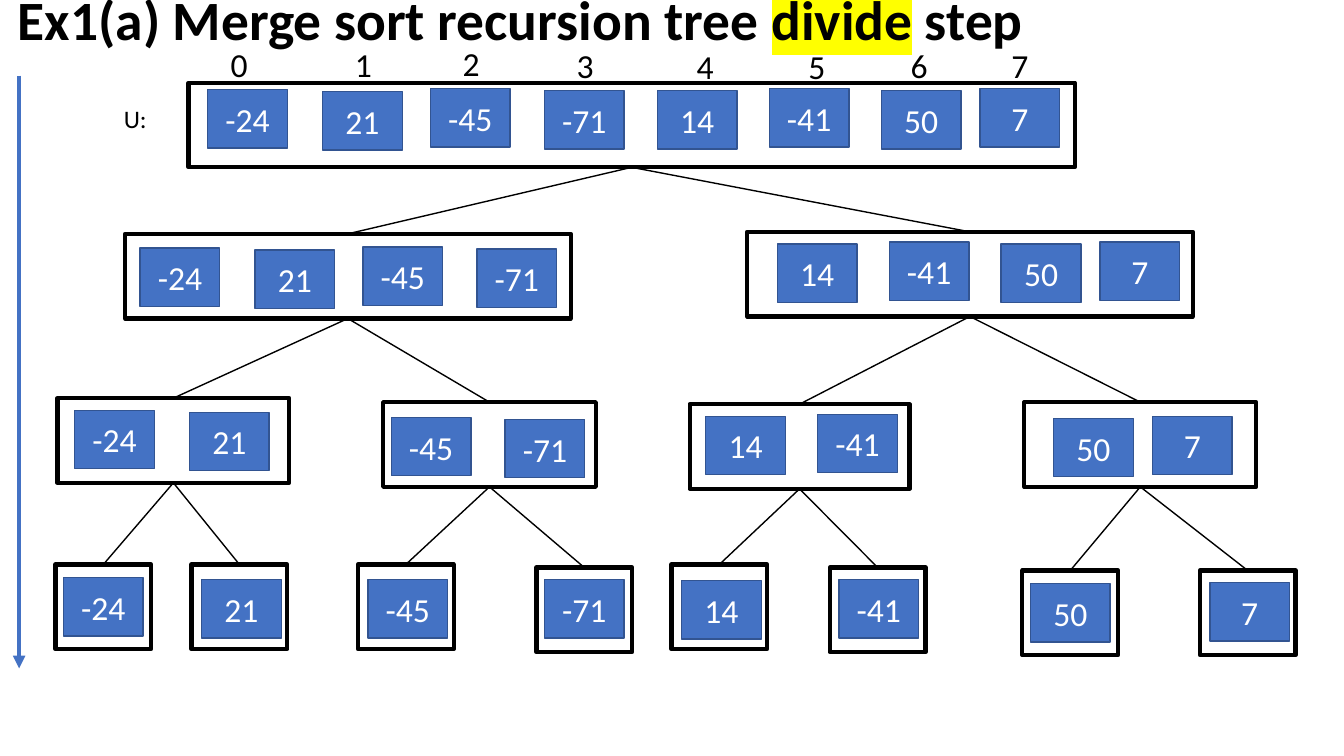
"""Build a slide showing the divide step of a merge sort recursion tree."""
from lxml.etree import SubElement
from pptx import Presentation
from pptx.dml.color import RGBColor
from pptx.enum.shapes import MSO_CONNECTOR as Connector, MSO_SHAPE as Shape
from pptx.enum.text import MSO_ANCHOR as Anchor, PP_ALIGN as Align
from pptx.oxml.ns import qn
from pptx.util import Inches, Pt

BLACK = RGBColor(0x00, 0x00, 0x00)
WHITE = RGBColor(0xFF, 0xFF, 0xFF)
BLUE = RGBColor(0x44, 0x72, 0xC4)
DARK_BLUE = RGBColor(0x32, 0x54, 0x91)
HIGHLIGHT = "FFFF00"

TITLE = [("Ex1(a) Merge sort recursion tree ", False), ("divide", True), (" step", False)]
TITLE_BOX = (0.08, -0.02, 10.43, 0.48)
ARRAY_BOX = (1.13, 0.98, 0.64, 0.4)
VALUES = [-24, 21, -45, -71, 14, -41, 50, 7]
CELL_POSITIONS = [(2.06, 0.89), (3.2, 0.91), (4.27, 0.88), (5.4, 0.9),
                  (6.52, 0.9), (7.63, 0.88), (8.74, 0.9), (9.72, 0.88)]
CELL_SIZE = (0.79, 0.58)
INDEX_BOXES = [(2.19, 0.39, 0.21), (3.42, 0.39, 0.21), (4.49, 0.38, 0.21), (5.62, 0.4, 0.21),
               (6.81, 0.41, 0.21), (7.92, 0.41, 0.28), (8.94, 0.4, 0.19), (9.94, 0.4, 0.19)]
INDEX_HEIGHT = 0.5
FRAME_HEIGHT = 0.84
# Each frame: left, top, width, then the shift of its cells from the root row.
LEVELS = [
    [(1.87, 0.82, 8.79, 0, 0)],
    [(1.24, 2.32, 4.42, -0.67, 1.57), (7.41, 2.3, 4.42, 1.19, 1.52)],
    [(0.57, 3.95, 2.3, -1.32, 3.18), (3.8, 3.99, 2.11, -0.39, 3.26),
     (6.84, 4.01, 2.18, 0.48, 3.23), (10.16, 3.99, 2.3, 1.71, 3.25)],
    [(0.55, 5.6, 0.95, -1.43, 4.84), (1.9, 5.6, 0.95, -1.2, 4.84),
     (3.55, 5.6, 0.95, -0.62, 4.87), (5.32, 5.63, 0.95, 0, 4.85),
     (6.66, 5.6, 0.95, 0.24, 4.86), (8.23, 5.63, 0.95, 0.69, 4.87),
     (10.14, 5.66, 0.95, 1.48, 4.89), (11.9, 5.66, 0.95, 2.28, 4.9)],
]
ARROW = (0.19, 0.75, 0.19, 6.63)
BOTTOM, TOP = 2, 0

CELL_FONT = {"name": "Calibri", "size": Pt(24)}
ARRAY_FONT = {"name": "Calibri", "size": Pt(18)}
TITLE_FONT = {"name": "Calibri", "size": Pt(39.6), "bold": True}


def inches(numbers):
    return [Inches(number) for number in numbers]


def add_run(paragraph, text, font_format, color):
    run = paragraph.add_run()
    run.text = text
    for name, value in font_format.items():
        setattr(run.font, name, value)
    run.font.color.rgb = color
    return run


def add_text(slide, box, text, font_format):
    frame = slide.shapes.add_textbox(*inches(box)).text_frame
    frame.word_wrap = True
    if text:
        add_run(frame.paragraphs[0], text, font_format, BLACK)
    return frame


def add_title(slide):
    frame = add_text(slide, TITLE_BOX, "", TITLE_FONT)
    frame.vertical_anchor = Anchor.MIDDLE
    paragraph = frame.paragraphs[0]
    paragraph.line_spacing = 0.9
    for text, marked in TITLE:
        run = add_run(paragraph, text, TITLE_FONT, BLACK)
        if marked:
            properties = run.font._element if hasattr(run.font, "_element") else run._r.get_or_add_rPr()
            highlight = SubElement(properties, qn("a:highlight"))
            SubElement(highlight, qn("a:srgbClr"), val=HIGHLIGHT)
            properties.find(qn("a:latin")).addprevious(highlight)


def add_rectangle(slide, box, line_color, line_width):
    shape = slide.shapes.add_shape(Shape.RECTANGLE, *inches(box))
    shape.shadow.inherit = False
    shape.fill.background()
    shape.line.color.rgb = line_color
    shape.line.width = Pt(line_width)
    return shape


def add_cell(slide, left, top, value):
    shape = add_rectangle(slide, (left, top, *CELL_SIZE), DARK_BLUE, 1)
    shape.fill.solid()
    shape.fill.fore_color.rgb = BLUE
    shape.text_frame.vertical_anchor = Anchor.MIDDLE
    paragraph = shape.text_frame.paragraphs[0]
    paragraph.alignment = Align.CENTER
    add_run(paragraph, str(value), CELL_FONT, WHITE)


def add_line(slide, ends, color, width):
    line = slide.shapes.add_connector(Connector.STRAIGHT, *inches(ends))
    line.line.color.rgb = color
    line.line.width = Pt(width)
    SubElement(line._element.spPr, qn("a:effectLst"))
    return line


def add_tree(slide):
    parents = []
    for level in LEVELS:
        frames = []
        count = len(VALUES) // len(level)
        for position, (left, top, width, shift_x, shift_y) in enumerate(level):
            frame = add_rectangle(slide, (left, top, width, FRAME_HEIGHT), BLACK, 3)
            frames.append(frame)
            for item in range(position * count, (position + 1) * count):
                x, y = CELL_POSITIONS[item]
                add_cell(slide, x + shift_x, y + shift_y, VALUES[item])
            if parents:
                branch = add_line(slide, (0, 0, 0, 0), BLACK, 1)
                branch.begin_connect(parents[position // 2], BOTTOM)
                branch.end_connect(frame, TOP)
        parents = frames


def main():
    presentation = Presentation()
    presentation.slide_width, presentation.slide_height = Inches(13.33), Inches(7.5)
    slide = presentation.slides.add_slide(presentation.slide_layouts[6])
    add_title(slide)
    add_text(slide, ARRAY_BOX, "U:", ARRAY_FONT)
    for index, box in enumerate(INDEX_BOXES):
        add_text(slide, (*box, INDEX_HEIGHT), str(index), CELL_FONT)
    add_tree(slide)
    arrow = add_line(slide, ARROW, BLUE, 3)
    SubElement(arrow.line._get_or_add_ln(), qn("a:tailEnd"), type="triangle")
    presentation.save("out.pptx")


if __name__ == "__main__":
    main()
